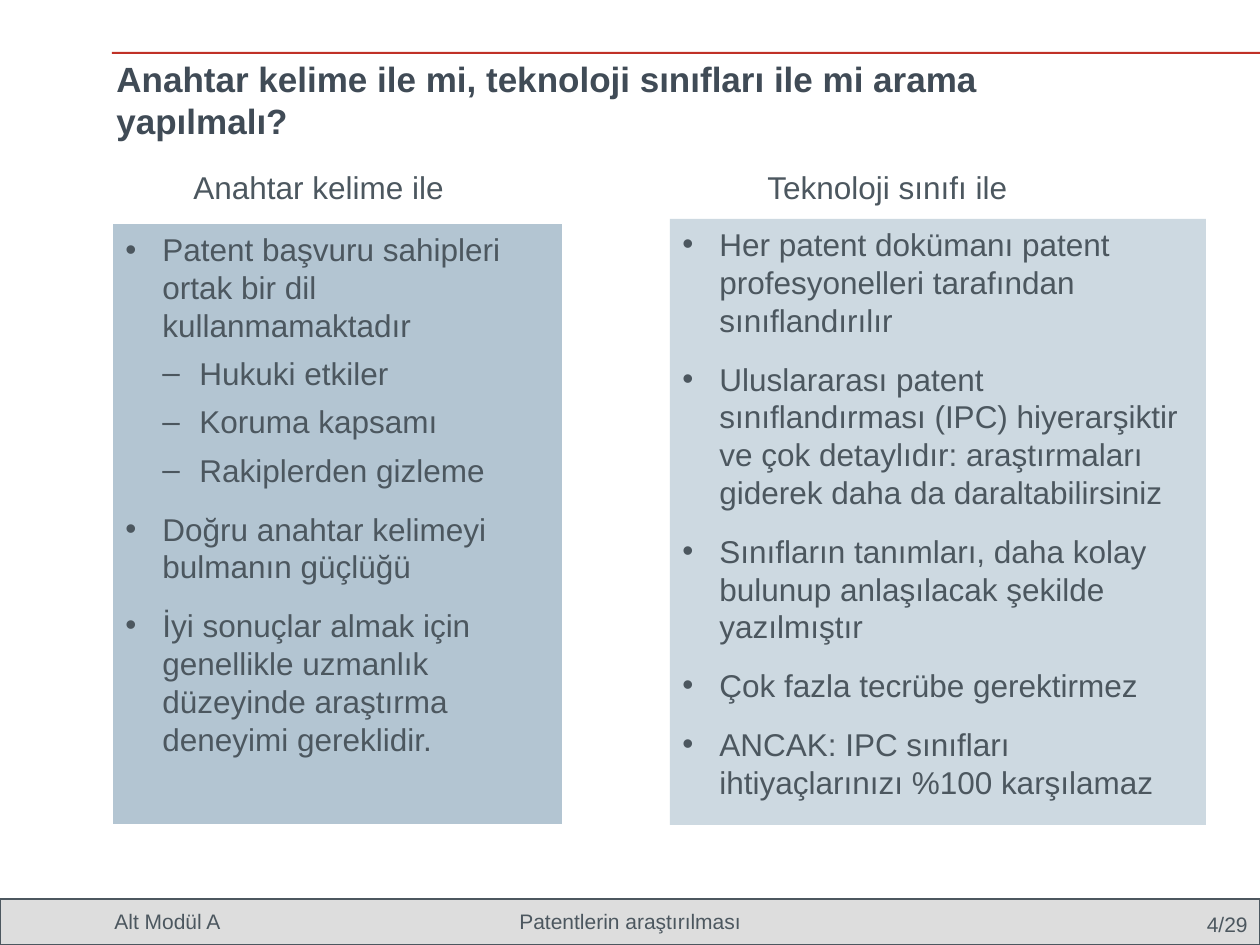
from lxml import etree
from pptx import Presentation
from pptx import util as u
from pptx.dml.color import RGBColor
from pptx.enum import shapes, text
from pptx.oxml.ns import qn

PX = u.Inches(1) / 126
GRAY = RGBColor(0x4C, 0x57, 0x5F)
TITLE = RGBColor(0x40, 0x4B, 0x56)
RED = RGBColor(0xC0, 0x31, 0x27)
FOOTER = RGBColor(0xDD, 0xDD, 0xDD)
BLUE = RGBColor(0xB3, 0xC5, 0xD2)
PALE_BLUE = RGBColor(0xCD, 0xD9, 0xE1)
INDENT = 37
FOOTER_TAB = 405

presentation = Presentation()
presentation.slide_width = round(1260 * PX)
presentation.slide_height = round(945 * PX)
slide = presentation.slides.add_slide(presentation.slide_layouts[6])


def add_rectangle(box, color):
    shape = slide.shapes.add_shape(
        shapes.MSO_SHAPE.RECTANGLE, *(round(n * PX) for n in box))
    shape.shadow.inherit = False
    shape.fill.solid()
    shape.fill.fore_color.rgb = color
    shape.line.fill.background()
    return shape


def style(paragraph, size, color=GRAY, bold=False):
    font = paragraph.font
    font.name, font.size, font.bold = "Arial", u.Pt(size), bold
    font.color.rgb = color


footer = add_rectangle((0, 899, 1260, 46), FOOTER)
footer.line.color.rgb = GRAY
footer.line.width = u.Pt(0.75)
add_rectangle((112, 52, 1148, 2), RED)

# box, wording, size, color, bold, wrap, anchor, alignment
MIDDLE, TOP = text.MSO_ANCHOR.MIDDLE, text.MSO_ANCHOR.TOP
LEFT, RIGHT = text.PP_ALIGN.LEFT, text.PP_ALIGN.RIGHT
labels = [
    ((1155, 914, 105, 20), "4/29", 12, GRAY, False, True, MIDDLE, RIGHT),
    ((102, 906, 1062, 30), "Alt Modül A\tPatentlerin araştırılması",
     12, GRAY, False, True, MIDDLE, LEFT),
    ((104, 56, 1060, 88),
     "Anahtar kelime ile mi, teknoloji sınıfları ile mi arama yapılmalı?",
     20, TITLE, True, True, MIDDLE, LEFT),
    ((181, 162, 278, 50), "Anahtar kelime ile", 18, GRAY, False, False, TOP, LEFT),
    ((755, 162, 268, 50), "Teknoloji sınıfı ile", 18, GRAY, False, False, TOP, LEFT),
]
for box, wording, size, color, bold, wrap, anchor, alignment in labels:
    frame = slide.shapes.add_textbox(*(round(n * PX) for n in box)).text_frame
    frame.word_wrap = wrap
    if not wrap:
        frame.auto_size = text.MSO_AUTO_SIZE.SHAPE_TO_FIT_TEXT
    frame.vertical_anchor = anchor
    paragraph = frame.paragraphs[0]
    paragraph.text = wording
    paragraph.alignment = alignment
    if "\t" in wording:
        tabs = etree.SubElement(paragraph._p.get_or_add_pPr(), qn("a:tabLst"))
        etree.SubElement(tabs, qn("a:tab"), pos=str(round(FOOTER_TAB * PX)), algn="l")
    style(paragraph, size, color, bold)

# level, space after, wording
keyword_points = [
    (0, 6, "Patent başvuru sahipleri ortak bir dil kullanmamaktadır"),
    (1, 6, "Hukuki etkiler"),
    (1, 6, "Koruma kapsamı"),
    (1, 12, "Rakiplerden gizleme"),
    (0, 12, "Doğru anahtar kelimeyi bulmanın güçlüğü"),
    (0, 12, "İyi sonuçlar almak için genellikle uzmanlık düzeyinde "
            "araştırma deneyimi gereklidir."),
]
class_points = [
    (0, 12, "Her patent dokümanı patent profesyonelleri tarafından sınıflandırılır"),
    (0, 12, "Uluslararası patent sınıflandırması (IPC) hiyerarşiktir ve çok "
            "detaylıdır: araştırmaları giderek daha da daraltabilirsiniz"),
    (0, 12, "Sınıfların tanımları, daha kolay bulunup anlaşılacak şekilde yazılmıştır"),
    (0, 12, "Çok fazla tecrübe gerektirmez"),
    (0, 12, "ANCAK: IPC sınıfları ihtiyaçlarınızı %100 karşılamaz"),
]
for box, color, points in [
    ((113, 224, 449, 600), BLUE, keyword_points),
    ((670, 219, 536, 606), PALE_BLUE, class_points),
]:
    frame = add_rectangle(box, color).text_frame
    frame.word_wrap = True
    frame.vertical_anchor = TOP
    for index, (level, space_after, wording) in enumerate(points):
        paragraph = frame.add_paragraph() if index else frame.paragraphs[0]
        paragraph.text = wording
        paragraph.level = level
        paragraph.alignment = LEFT
        properties = paragraph._p.get_or_add_pPr()
        properties.set("marL", str(round((level + 1) * INDENT * PX)))
        properties.set("indent", str(round(-INDENT * PX)))
        etree.SubElement(properties, qn("a:buFont"), typeface="Arial")
        etree.SubElement(properties, qn("a:buChar"), char="•–"[level])
        paragraph.space_after = u.Pt(space_after)
        style(paragraph, 18)

presentation.save("out.pptx")
